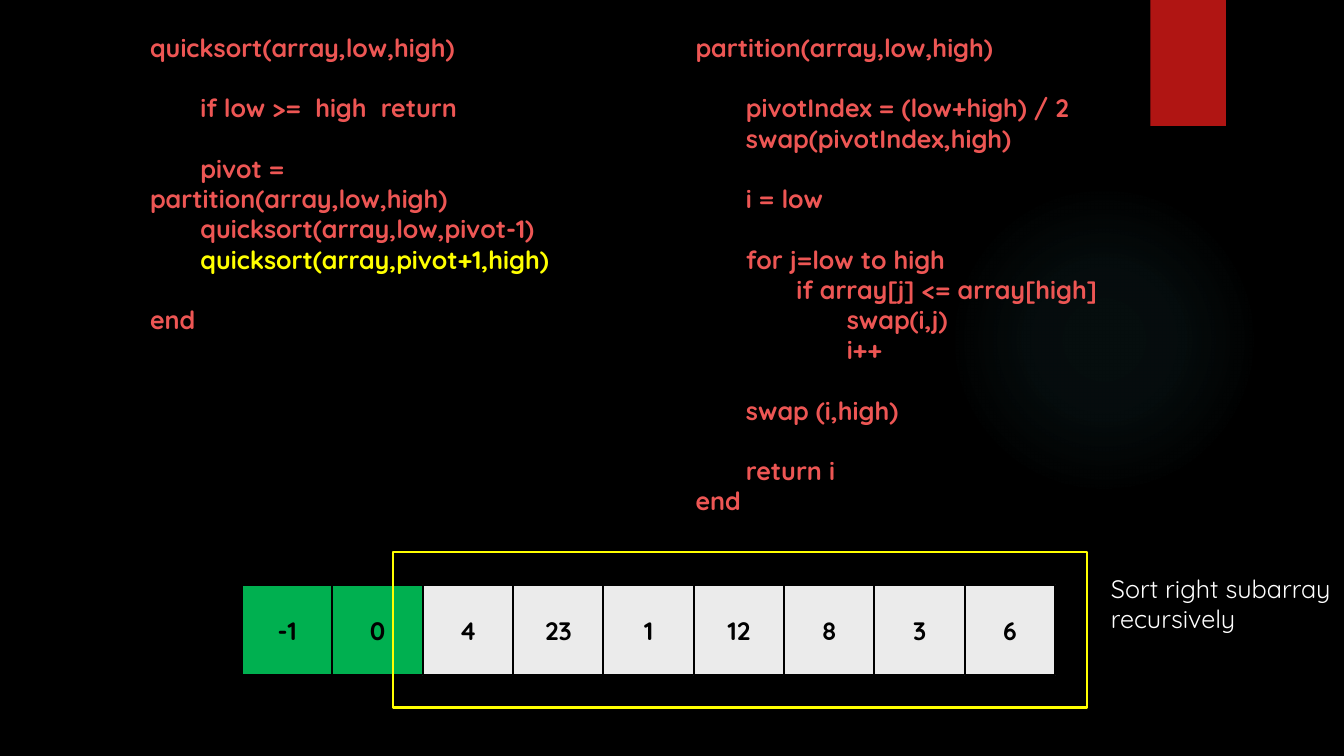
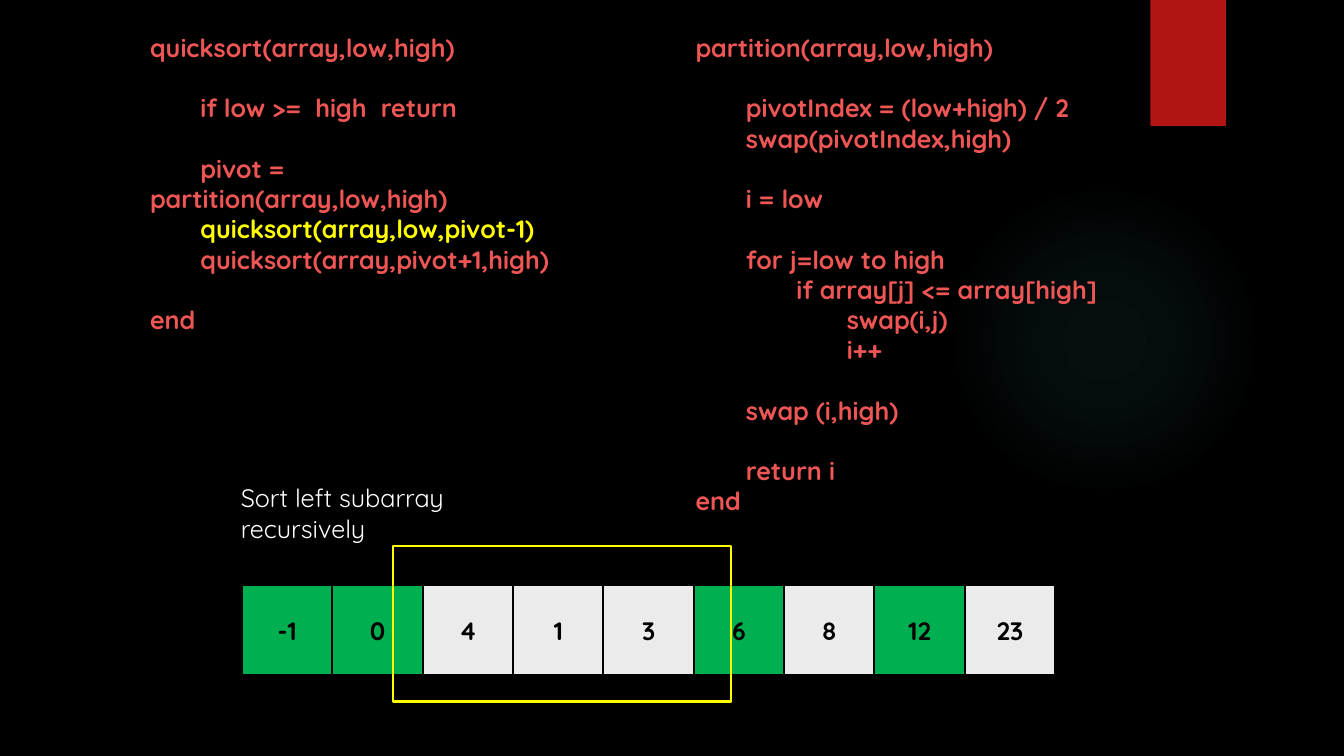
import pptx
import pptx.dml.color
import pptx.enum.shapes
import pptx.enum.text
import pptx.oxml
import pptx.oxml.ns
import pptx.util

SHAPES = pptx.enum.shapes.MSO_SHAPE
CENTER = pptx.enum.text.PP_ALIGN.CENTER
MIDDLE = pptx.enum.text.MSO_ANCHOR.MIDDLE

BLACK, WHITE, GRAY = "000000", "FFFFFF", "EBEBEB"
CORAL, YELLOW, GREEN = "ED5654", "FFFF00", "00B050"
RED, TEAL = "B01513", "50B9C1"

BODY = {"name": "Quicksand", "size": pptx.util.Pt(18)}
BOLD = {**BODY, "bold": True}
LINE_HEIGHT = pptx.util.Pt(21.6)
INDENT = pptx.util.Inches(0.5)
PITCH = 0.896
GLOW_STOPS = [(0, 7), (36, 6), (69, 0)]  # position and opacity in percent

# Each code line: blank lines before it, indent level, text
QUICKSORT = [
    (0, 0, "quicksort(array,low,high)"),
    (1, 1, "if low >=  high  return"),
    (1, 1, "pivot = partition(array,low,high)"),
    (0, 1, "quicksort(array,low,pivot-1)"),
    (0, 1, "quicksort(array,pivot+1,high)"),
    (1, 0, "end"),
]
PARTITION = [
    (0, 0, "partition(array,low,high)"),
    (1, 1, "pivotIndex = (low+high) / 2"),
    (0, 1, "swap(pivotIndex,high)"),
    (1, 1, "i = low"),
    (1, 1, "for j=low to high"),
    (0, 2, "if array[j] <= array[high]"),
    (0, 3, "swap(i,j)"),
    (0, 3, "i++"),
    (1, 1, "swap (i,high)"),
    (1, 1, "return i"),
    (0, 0, "end"),
]

STEPS = [
    {
        "active": "quicksort(array,pivot+1,high)",
        "values": [-1, 0, 4, 23, 1, 12, 8, 3, 6],
        "sorted": {-1, 0},
        "frame": (3.9, 5.48, 6.88, 1.54),
        "caption": ["Sort right subarray", "recursively"],
        "caption_box": (10.92, 5.64, 2.4, 0.71),
    },
    {
        "active": "quicksort(array,low,pivot-1)",
        "values": [-1, 0, 4, 1, 3, 6, 8, 12, 23],
        "sorted": {-1, 0, 6, 12},
        "frame": (3.9, 5.42, 3.35, 1.54),
        "caption": ["Sort left subarray", "recursively"],
        "caption_box": (2.29, 4.74, 2.61, 0.71),
    },
]


def color(hex_code):
    """Turn a hex string into a colour."""
    return pptx.dml.color.RGBColor.from_string(hex_code)


def inches(box):
    """Turn left, top, width, height into lengths."""
    return [pptx.util.Inches(length) for length in box]


def add_block(slide, box, fill=None, line=None, kind=SHAPES.RECTANGLE):
    """Draw a flat shape with an optional fill and outline."""
    block = slide.shapes.add_shape(kind, *inches(box))
    block.shadow.inherit = False
    for part, hex_code in ((block.fill, fill), (block.line.fill, line)):
        if hex_code:
            part.solid()
            part.fore_color.rgb = color(hex_code)
        else:
            part.background()
    if line:
        block.line.width = pptx.util.Pt(1.5)
    return block


def write(paragraph, text, hex_code, style):
    """Add one run in the given colour and style."""
    run = paragraph.add_run()
    run.text = text
    for attribute, value in style.items():
        setattr(run.font, attribute, value)
    run.font.color.rgb = color(hex_code)


def add_lines(slide, box, lines, style, hex_code, active=None):
    """Write indented lines in a box, with the active one in yellow."""
    frame = slide.shapes.add_textbox(*inches(box)).text_frame
    frame.word_wrap = True
    for row, (blanks, level, text) in enumerate(lines):
        paragraph = frame.add_paragraph() if row else frame.paragraphs[0]
        paragraph.space_before = blanks * LINE_HEIGHT
        # A first-line indent lets long lines wrap back to the margin
        properties = paragraph._p.get_or_add_pPr()
        properties.set("marL", "0")
        properties.set("indent", str(level * INDENT))
        write(paragraph, text, YELLOW if text == active else hex_code, style)


def add_glow(slide, box):
    """Draw a faint circle that fades out towards its edge."""
    glow = add_block(slide, box, TEAL, kind=SHAPES.OVAL)
    stops = "".join(
        f'<a:gs pos="{position * 1000}"><a:srgbClr val="{TEAL}">'
        f'<a:alpha val="{opacity * 1000}"/></a:srgbClr></a:gs>'
        for position, opacity in GLOW_STOPS
    )
    gradient = pptx.oxml.parse_xml(
        f'<a:gradFill {pptx.oxml.ns.nsdecls("a")}><a:gsLst>{stops}</a:gsLst>'
        '<a:path path="circle"><a:fillToRect l="50000" t="50000" r="50000" '
        'b="50000"/></a:path></a:gradFill>'
    )
    properties = glow._element.spPr
    solid = properties.find(pptx.oxml.ns.qn("a:solidFill"))
    properties.replace(solid, gradient)


def add_backdrop(slide):
    """Set the black background, the glow and the red tab."""
    slide.background.fill.solid()
    slide.background.fill.fore_color.rgb = color(BLACK)
    add_glow(slide, (9.41, 1.83, 3.08, 3.08))
    add_block(slide, (11.41, 0, 0.75, 1.25), RED)


def add_array(slide, left, top, values, done):
    """Draw the array as a row of cells, with sorted ones in green."""
    for column, value in enumerate(values):
        box = (left + column * PITCH, top, 0.9, 0.9)
        cell = add_block(slide, box, GREEN if value in done else GRAY, BLACK)
        cell.text_frame.vertical_anchor = MIDDLE
        paragraph = cell.text_frame.paragraphs[0]
        paragraph.alignment = CENTER
        write(paragraph, str(value), BLACK, BOLD)


def add_step(deck, step):
    """Build the slide for one step of the sort."""
    slide = deck.slides.add_slide(deck.slide_layouts[6])
    add_backdrop(slide)
    add_array(slide, 2.4, 5.8, step["values"], step["sorted"])
    add_lines(slide, (1.39, 0.27, 4.53, 3.13), QUICKSORT, BOLD, CORAL, step["active"])
    add_lines(slide, (6.8, 0.27, 4.75, 5.25), PARTITION, BOLD, CORAL)
    add_block(slide, step["frame"], line=YELLOW)
    caption = [(0, 0, text) for text in step["caption"]]
    add_lines(slide, step["caption_box"], caption, BODY, WHITE)


def main():
    """Build and save the deck."""
    deck = pptx.Presentation()
    deck.slide_width = pptx.util.Inches(13.33)
    deck.slide_height = pptx.util.Inches(7.5)
    for step in STEPS:
        add_step(deck, step)
    deck.save("out.pptx")


main()
